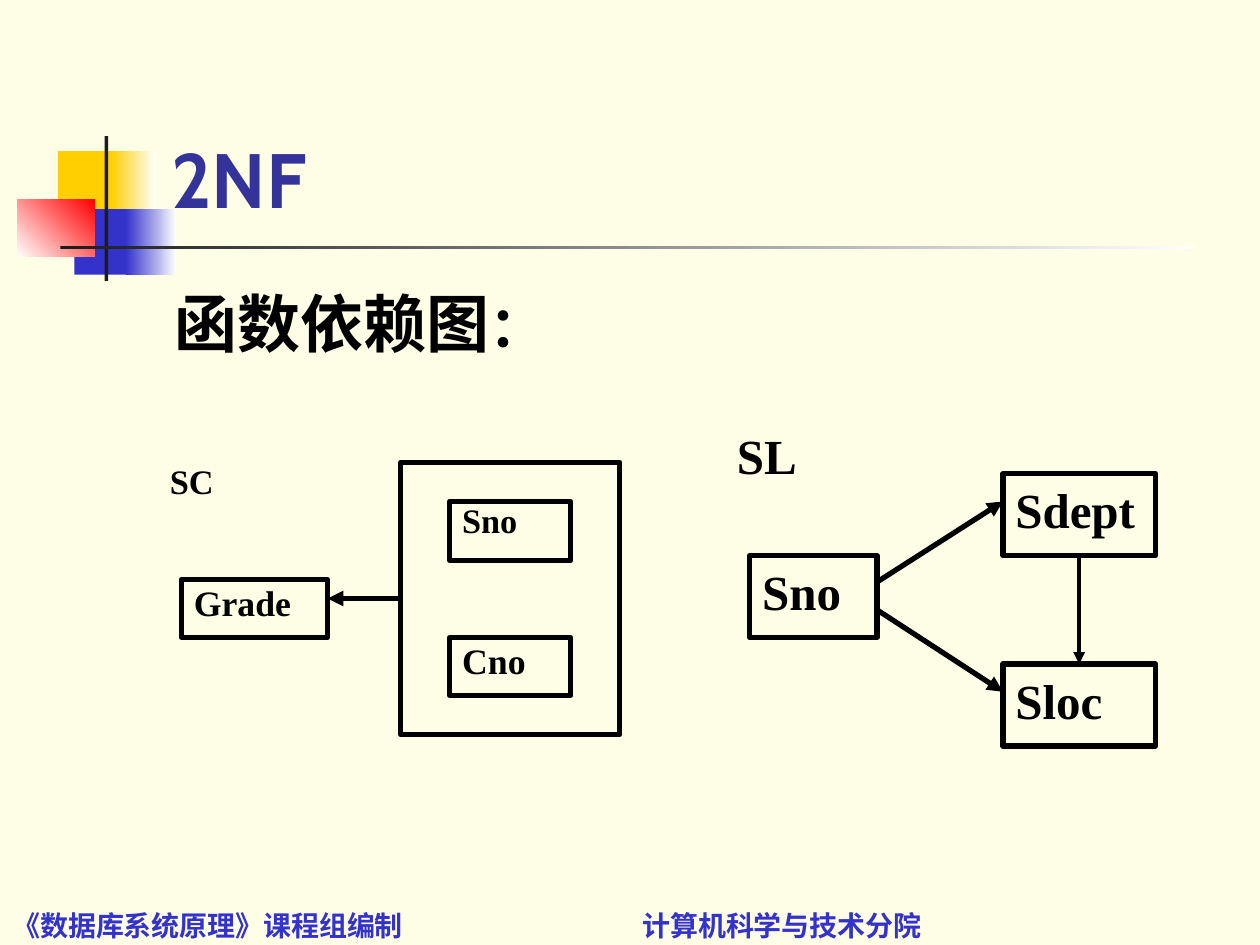
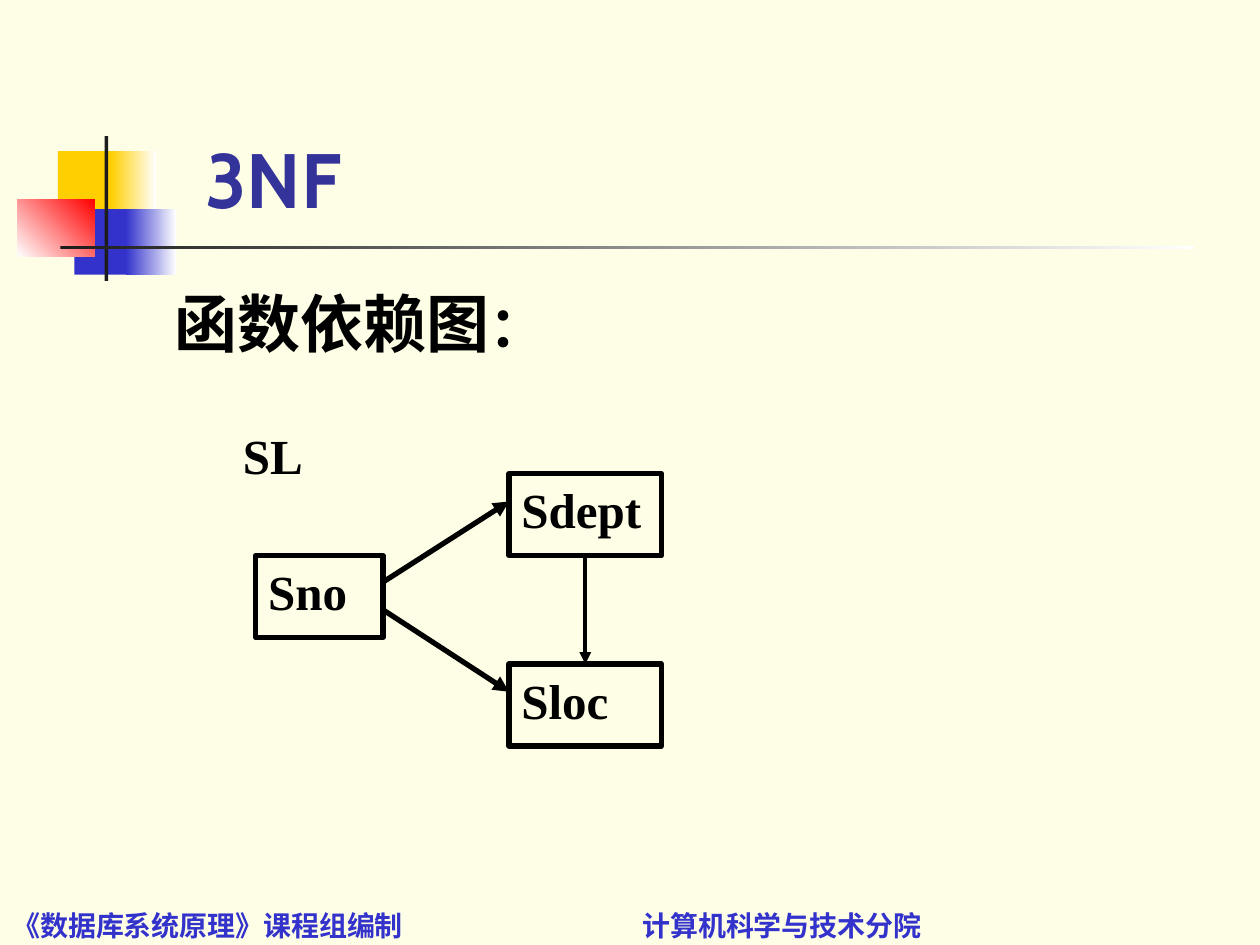
from lxml.etree import SubElement
from pptx import Presentation
from pptx.dml.color import RGBColor
from pptx.enum.shapes import MSO_CONNECTOR, MSO_SHAPE
from pptx.enum.text import MSO_ANCHOR, PP_ALIGN
from pptx.oxml.ns import qn
from pptx.util import Inches, Pt

CREAM = RGBColor(0xFE, 0xFE, 0xE6)
GOLD = RGBColor(0xFF, 0xCF, 0x01)
BLUE = RGBColor(0x33, 0x33, 0xCC)
NAVY = RGBColor(0x33, 0x33, 0x99)
RED = RGBColor(0xFF, 0, 0)
DARK = RGBColor(0x1C, 0x1C, 0x1C)
BLACK = RGBColor(0, 0, 0)
WHITE = RGBColor(0xFF, 0xFF, 0xFF)
SERIF = "Times New Roman"

BANDS = [
    (0.46, 1.2, 0.48, 0.52, GOLD, GOLD, 0),
    (0.88, 1.2, 0.36, 0.52, GOLD, WHITE, 0),
    (0.59, 1.66, 0.46, 0.52, BLUE, BLUE, 0),
    (1, 1.66, 0.4, 0.52, BLUE, WHITE, 0),
    (0.14, 1.58, 0.61, 0.46, WHITE, RED, 45),
    (0.83, 1.08, 0.03, 1.15, DARK, DARK, 0),
    (0.48, 1.95, 9, 0.03, DARK, WHITE, 0),
]


def put(slide, words, place, size, face=SERIF, hue=BLACK, edge=False):
    spot = [Inches(n) for n in place]
    if edge:
        shape = slide.shapes.add_shape(MSO_SHAPE.RECTANGLE, *spot)
        shape.shadow.inherit = False
        shape.fill.background()
        shape.line.color.rgb = BLACK
        shape.line.width = Pt(3)
    else:
        shape = slide.shapes.add_textbox(*spot)
    frame = shape.text_frame
    frame.word_wrap = True
    frame.vertical_anchor = MSO_ANCHOR.TOP
    if words:
        para = frame.paragraphs[0]
        para.text = words
        para.alignment = PP_ALIGN.JUSTIFY if face == SERIF else PP_ALIGN.LEFT
        font = para.font
        font.name, font.size, font.bold = face, Pt(size), True
        font.color.rgb = hue
        SubElement(font._element, qn("a:ea"), typeface=face)
    return shape


def link(slide, start, end, width=3):
    ends = [Inches(n) for n in start + end]
    line = slide.shapes.add_connector(MSO_CONNECTOR.STRAIGHT, *ends)
    line.line.color.rgb = BLACK
    line.line.width = Pt(width)
    SubElement(line.line._get_or_add_ln(), qn("a:tailEnd"), type="triangle")
    SubElement(line._element.spPr, qn("a:effectLst"))
    return line


deck = Presentation()
deck.slide_width, deck.slide_height = Inches(10), Inches(7.5)
ground = deck.slide_master.background.fill
ground.solid()
ground.fore_color.rgb = CREAM

slides = []
for name, inset, left in [("2NF", 0.1, 5.75), ("3NF", 0.37, 1.83)]:
    slide = deck.slides.add_slide(deck.slide_layouts[6])
    slides.append(slide)

    for x, y, w, h, start, end, angle in BANDS:
        band = slide.shapes.add_shape(
            MSO_SHAPE.RECTANGLE, Inches(x), Inches(y), Inches(w), Inches(h))
        band.shadow.inherit = False
        band.line.fill.background()
        if start == end:
            band.fill.solid()
            band.fill.fore_color.rgb = start
        else:
            band.fill.gradient()
            band.fill.gradient_angle = angle
            for stop, hue in zip(band.fill.gradient_stops, (start, end)):
                stop.color.rgb = hue

    foot = put(slide, "《数据库系统原理》课程组编制\t计算机科学与技术分院",
               (0, 7.29, 10, 0.24), 16, "Noto Sans CJK SC", BLUE)
    foot.text_frame.vertical_anchor = MSO_ANCHOR.BOTTOM
    props = foot.text_frame.paragraphs[0]._p.get_or_add_pPr()
    tabs = props.makeelement(qn("a:tabLst"))
    SubElement(tabs, qn("a:tab"), pos=str(Inches(5)), algn="l")
    props.insert(0, tabs)

    title = put(slide, name, (1.26, 0.23, 8.52, 1.6), 44, "Cabin", NAVY)
    title.text_frame.vertical_anchor = MSO_ANCHOR.BOTTOM
    title.text_frame.margin_left = Inches(inset)

    body = put(slide, "函数依赖图", (1.29, 2.21, 8.5, 4.85), 36, "Noto Sans CJK KR")
    colon = body.text_frame.paragraphs[0].add_run()
    colon.text = "："
    colon.font.size = Pt(32)

    put(slide, "SL", (left, 3.33, 1.21, 0.65), 28)
    put(slide, "Sno", (left + 0.2, 4.41, 1.01, 0.65), 28, edge=True)
    dept = put(slide, "Sdept", (left + 2.21, 3.76, 1.21, 0.65), 28, edge=True)
    place = put(slide, "Sloc", (left + 2.21, 5.27, 1.21, 0.65), 28, edge=True)
    link(slide, (left + 1.21, 4.62), (left + 2.21, 3.98))
    link(slide, (left + 1.21, 4.84), (left + 2.21, 5.49))
    down = link(slide, (left + 2.82, 4.41), (left + 2.82, 5.27), 2.25)
    down.begin_connect(dept, 2)
    down.end_connect(place, 0)

first = slides[0]
key = put(first, "", (3.18, 3.67, 1.74, 2.16), 20, edge=True)
for words, spot, size, space, edge in [
    ("Sno", (3.57, 3.98, 0.96, 0.47), 19.6, 0.8, True),
    ("Cno", (3.57, 5.06, 0.96, 0.46), 20.4, 0.9, True),
    ("Grade", (1.44, 4.6, 1.16, 0.46), 20.4, 0.9, True),
    ("SC", (1.25, 3.67, 0.97, 0.46), 19.6, 0.8, False),
]:
    node = put(first, words, spot, size, edge=edge)
    node.text_frame.paragraphs[0].line_spacing = space
link(first, (3.18, 4.75), (2.6, 4.75)).begin_connect(key, 1)

deck.save("out.pptx")
